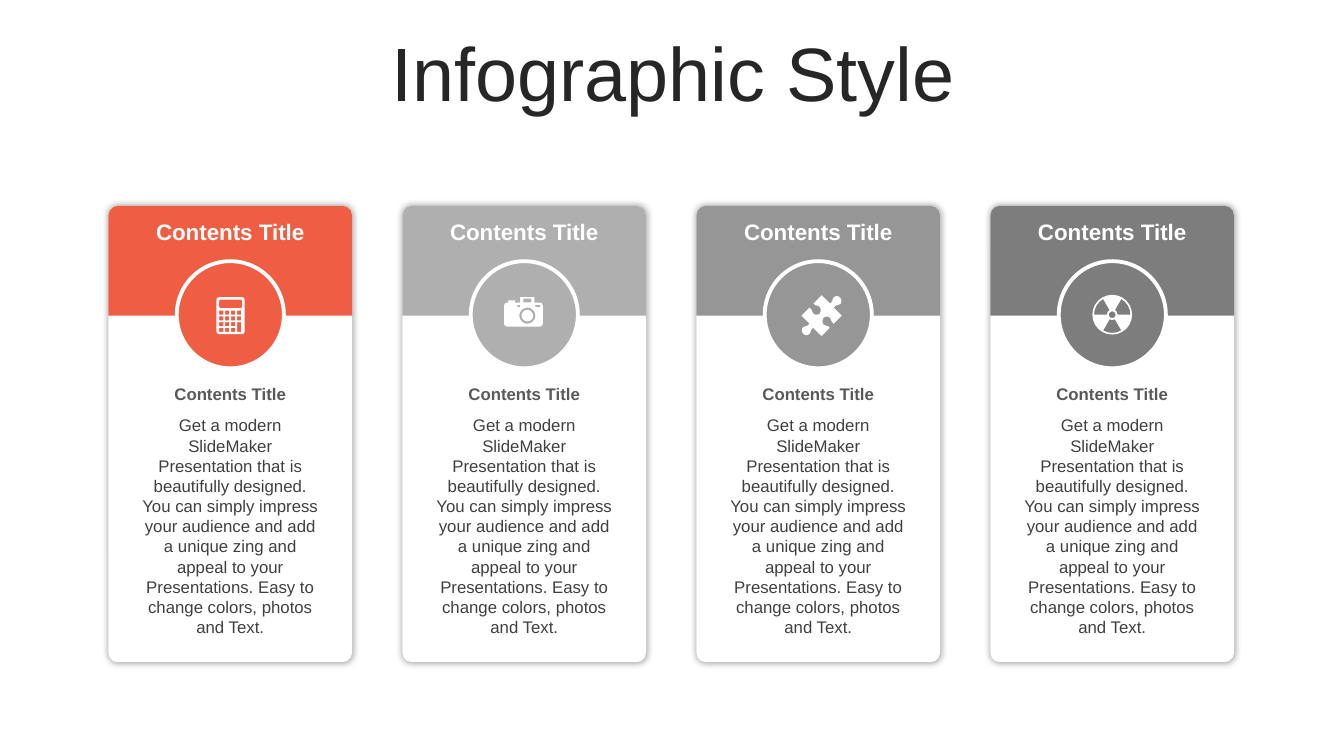
from math import cos, radians, sin

from lxml.etree import SubElement
from pptx import Presentation
from pptx.dml.color import RGBColor
from pptx.enum.shapes import MSO_SHAPE as Preset
from pptx.enum.text import MSO_ANCHOR as Anchor, PP_ALIGN as Align
from pptx.oxml.ns import qn
from pptx.util import Pt

FONT = "Arial"
WHITE = "FFFFFF"
CARD_LEFT, CARD_TOP, CARD_WIDTH, CARD_HEIGHT = 77.5, 147, 174, 326
CARD_PITCH = 210
HEADER_HEIGHT = 78.5
CORNER = 6.8
BADGE_SIZE = 76.5
BADGE_CENTER_Y = 224.8
TEXT_WIDTH = 142
CARD_COLORS = ["EF5E42", "AFAFAF", "969696", "7D7D7D"]
HEADING = "Contents Title"
BODY = ("Get a modern SlideMaker Presentation that is beautifully designed. "
        "You can simply impress your audience and add a unique zing and appeal "
        "to your Presentations. Easy to change colors, photos and Text.")


def color(value):
    return RGBColor.from_string(value)


def format_text(text_frame, text, size, hex_color, bold=False):
    text_frame.word_wrap = True
    text_frame.text = text
    paragraph = text_frame.paragraphs[0]
    paragraph.alignment = Align.CENTER
    font = paragraph.runs[0].font
    font.name, font.size, font.bold = FONT, Pt(size), bold
    font.color.rgb = color(hex_color)


def add_text(slide, box, text, size, hex_color, bold=False, side_inset=7.2):
    text_frame = slide.shapes.add_textbox(*map(Pt, box)).text_frame
    text_frame.margin_left = text_frame.margin_right = Pt(side_inset)
    format_text(text_frame, text, size, hex_color, bold)


def paint(shape, fill, line=None):
    shape.fill.solid()
    shape.fill.fore_color.rgb = color(fill)
    if line:
        shape.line.color.rgb = color(line)
        shape.line.width = Pt(2.75)
    else:
        shape.line.fill.background()
    shape.shadow.inherit = False


def add_preset(slide, preset, box, fill, line=None):
    shape = slide.shapes.add_shape(preset, *map(Pt, box))
    paint(shape, fill, line)
    return shape


def add_glow_shadow(shape):
    """Give the shape a soft shadow that spreads evenly on all sides."""
    effects = shape._element.spPr.find(qn("a:effectLst"))
    shadow = SubElement(effects, qn("a:outerShdw"), blurRad=str(Pt(5)),
                        dist="0", dir="0", algn="ctr", rotWithShape="0")
    black = SubElement(shadow, qn("a:srgbClr"), val="000000")
    SubElement(black, qn("a:alpha"), val="40000")


def arc(x, y, radius, start, end, steps):
    angles = [radians(start + (end - start) * i / steps) for i in range(steps + 1)]
    return [(x + radius * cos(a), y + radius * sin(a)) for a in angles]


def circle(x, y, radius, steps=16):
    return arc(x, y, radius, 0, 360, steps)[:-1]


def rectangle(left, top, width, height):
    right, bottom = left + width, top + height
    return [(left, top), (right, top), (right, bottom), (left, bottom)]


def rounded_box(left, top, width, height, radius):
    """Outline running clockwise from the top right to the top left corner."""
    near_x, far_x = left + radius, left + width - radius
    near_y, far_y = top + radius, top + height - radius
    centers = [(far_x, near_y), (far_x, far_y), (near_x, far_y), (near_x, near_y)]
    outline = []
    for index, (x, y) in enumerate(centers):
        outline += arc(x, y, radius, 90 * index - 90, 90 * index, 2)
    return outline


def bezier(start, first, second, end, steps=3):
    points = []
    for i in range(1, steps + 1):
        t = i / steps
        weights = (1 - t) ** 3, 3 * t * (1 - t) ** 2, 3 * t * t * (1 - t), t ** 3
        points.append(tuple(
            sum(w * p[axis] for w, p in zip(weights, (start, first, second, end)))
            for axis in (0, 1)))
    return points


def calculator_icon():
    contours = [rounded_box(-9.9, -12.6, 20.2, 26.5, 2),
                rounded_box(-7.9, -10.8, 16.3, 6.1, 1)]
    for column in range(4):
        for row in range(4):
            if (column, row) == (3, 3):
                continue
            height = 7 if (column, row) == (3, 2) else 2.9
            contours.append(rectangle(-7.9 + 4.25 * column, -2.9 + 4.1 * row,
                                      2.9, height))
    return contours


def camera_icon():
    flash = [(-11.5, -8.6), (-11.5, -10.2), (-6.5, -10.2), (-6.5, -8.6)]
    finder = [(-2.9, -8.6), (-2.9, -12.5), (7.2, -12.5), (7.2, -8.6)]
    return [rounded_box(-14.4, -8.6, 27.6, 17.2, 2) + flash + finder,
            rectangle(-0.7, -11.5, 5.7, 2.7),
            rectangle(-5, -6.8, 2.1, 1.5),
            rectangle(7.9, -7, 3.6, 1.7),
            circle(2.2, 0.7, 5.8), circle(2.2, 0.7, 4.1)]


def puzzle_icon():
    """Half of the outline, then the same half turned by 180 degrees."""
    half = [(13, -13)]
    moves = [
        [(14.4, -12.2), (14.4, -10), (13.7, -8.6)],
        [(12.2, -7.2), (10, -8), (8.6, -5.8)],
        [(14.4, 0)],
        [(8.6, 5.8)],
        [(6.5, 4.3), (7.2, 2.9), (5.8, 1.4)],
        [(4.3, 0), (2.9, 0.7), (1.4, 1.4)],
        [(0.7, 2.9), (0, 4.3), (1.4, 6.5)],
        [(3.6, 7.9), (4.3, 6.5), (5.8, 8.6)],
        [(0, 14.6)],
        [(-6.2, 8.6)],
        [(-8.6, 10.8), (-7.2, 11.5), (-8.6, 13)],
        [(-10, 14.4), (-12, 14.4), (-13, 13)],
    ]
    for move in moves:
        half += bezier(half[-1], *move) if len(move) == 3 else move
    outline = half[1:] + [(-x, -y) for x, y in half[1:]]
    return [[(x + 2.4, y + 0.7) for x, y in outline]]


def radiation_icon():
    gaps = [arc(0, 0, 13, start, start + 60, 4) + arc(0, 0, 3.8, start + 60, start, 2)
            for start in (60, 180, 300)]
    return [circle(0, 0, 14.2, 24), circle(0, 0, 2.4, 12)] + gaps


def add_icon(slide, center_x, center_y, contours):
    """Draw contours, given in points around the centre, as one white shape."""
    placed = [[(Pt(center_x + x), Pt(center_y + y)) for x, y in contour]
              for contour in contours]
    builder = slide.shapes.build_freeform(*placed[0][0])
    for index, contour in enumerate(placed):
        if index:
            builder.move_to(*contour[0])
        builder.add_line_segments(contour[1:], close=True)
    paint(builder.convert_to_shape(), WHITE)


def add_card(slide, left, fill, contours):
    center = left + CARD_WIDTH / 2
    text_left = center - TEXT_WIDTH / 2
    panel = add_preset(slide, Preset.ROUNDED_RECTANGLE,
                       (left, CARD_TOP, CARD_WIDTH, CARD_HEIGHT), WHITE)
    panel.adjustments[0] = CORNER / CARD_WIDTH
    add_glow_shadow(panel)
    header = add_preset(slide, Preset.ROUND_2_SAME_RECTANGLE,
                        (left, CARD_TOP, CARD_WIDTH, HEADER_HEIGHT), fill)
    header.adjustments[0] = CORNER / HEADER_HEIGHT
    add_preset(slide, Preset.OVAL,
               (center - BADGE_SIZE / 2, BADGE_CENTER_Y - BADGE_SIZE / 2,
                BADGE_SIZE, BADGE_SIZE), fill, WHITE)
    add_icon(slide, center, BADGE_CENTER_Y, contours)
    add_text(slide, (text_left, 152.6, TEXT_WIDTH, 26.6), HEADING, 16, WHITE, True, 8.6)
    add_text(slide, (text_left, 270.7, TEXT_WIDTH, 21.8), HEADING, 12, "595959", True, 8.6)
    add_text(slide, (text_left, 293, TEXT_WIDTH, 167), BODY, 12, "404040")


def add_title(slide, text):
    title = slide.shapes.title
    title.left, title.top, title.width, title.height = map(Pt, (25, 26.6, 911.5, 57))
    title.text_frame.vertical_anchor = Anchor.MIDDLE
    format_text(title.text_frame, text, 54, "262626")
    title.text_frame.paragraphs[0].line_spacing = 0.9


def main():
    presentation = Presentation()
    presentation.slide_width, presentation.slide_height = Pt(960), Pt(540)
    slide = presentation.slides.add_slide(presentation.slide_layouts[5])
    add_title(slide, "Infographic Style")
    icons = [calculator_icon(), camera_icon(), puzzle_icon(), radiation_icon()]
    for index, (fill, contours) in enumerate(zip(CARD_COLORS, icons)):
        add_card(slide, CARD_LEFT + index * CARD_PITCH, fill, contours)
    presentation.save("out.pptx")


if __name__ == "__main__":
    main()
